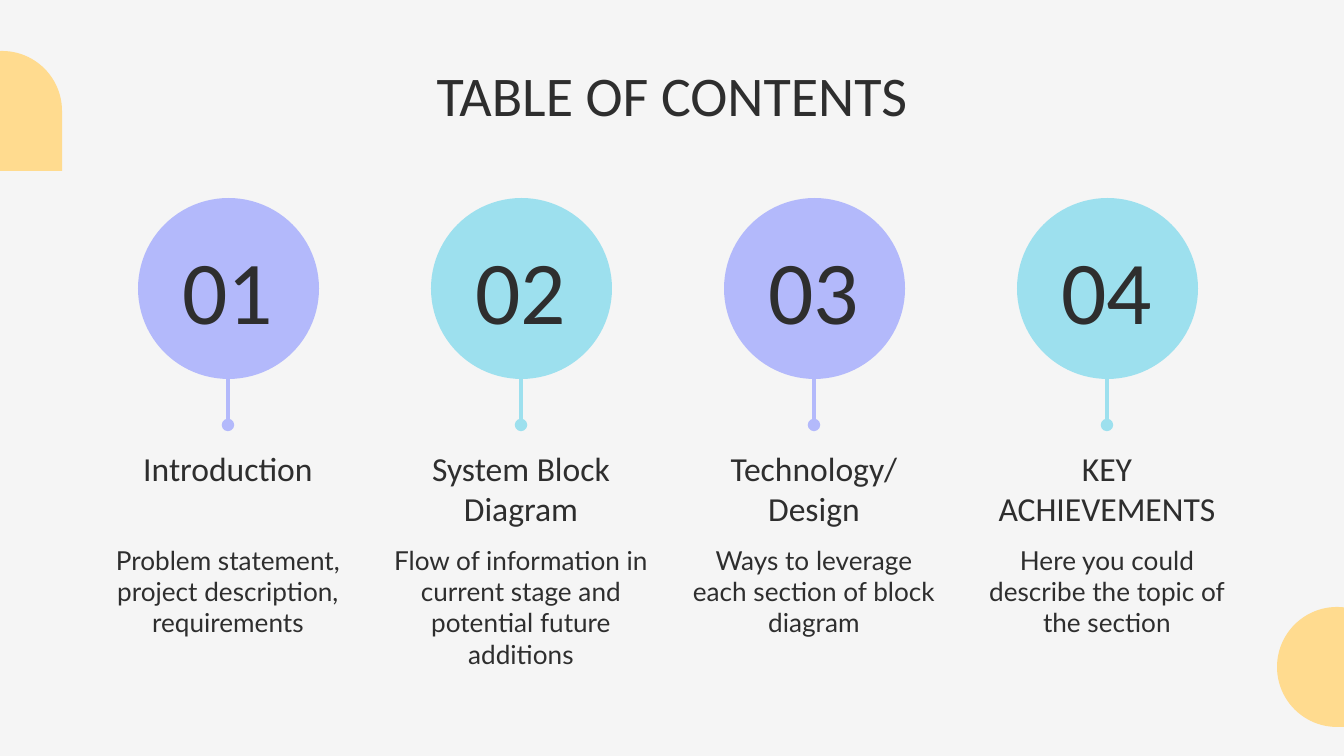
from lxml import etree
from pptx import Presentation
from pptx.dml.color import RGBColor
from pptx.enum.shapes import MSO_CONNECTOR, MSO_SHAPE
from pptx.enum.text import MSO_ANCHOR, PP_ALIGN
from pptx.oxml.ns import qn
from pptx.util import Pt

SCALE = 914400 / 134.4
PAPER = RGBColor(0xF5, 0xF5, 0xF5)
INK = RGBColor(0x2E, 0x2E, 0x2E)
SAND = RGBColor(0xFF, 0xDB, 0x8F)
LILAC = RGBColor(0xB3, 0xB9, 0xFB)
AQUA = RGBColor(0x9D, 0xE0, 0xEE)

DROP = MSO_SHAPE.TEAR
DISC = MSO_SHAPE.OVAL
LINE = MSO_CONNECTOR.STRAIGHT
TOP = MSO_ANCHOR.TOP
MID = MSO_ANCHOR.MIDDLE
CENTER = PP_ALIGN.CENTER

HEAD = {"size": Pt(30), "name": "Calibri"}
NUMBER = {"size": Pt(48), "name": "Calibri"}
TOPIC = {"size": Pt(18), "name": "Calibri"}
DETAIL = {"size": Pt(14), "name": "Lato"}

FIRST, STEP = 228, 293
SECTIONS = [
    ("Introduction", 226, LILAC,
     "Problem statement, project description, requirements"),
    ("System Block Diagram", 239, AQUA,
     "Flow of information in current stage and potential future additions"),
    ("Technology/Design", 239, LILAC,
     "Ways to leverage each section of block diagram"),
    ("KEY ACHIEVEMENTS", 300, AQUA,
     "Here you could describe the topic of the section"),
]


def px(*values):
    return [round(value * SCALE) for value in values]


def add_form(slide, kind, box, color, turn=0):
    form = slide.shapes.add_shape(kind, *px(*box))
    form.shadow.inherit = False
    form.fill.solid()
    form.fill.fore_color.rgb = color
    form.line.fill.background()
    form.rotation = turn


def add_stem(slide, mid, color):
    stem = slide.shapes.add_connector(LINE, *px(mid, 331, mid, 425))
    stem.line.color.rgb = color
    stem.line.width = Pt(2.25)
    etree.SubElement(stem.line._get_or_add_ln(), qn("a:tailEnd"), type="oval")
    etree.SubElement(stem._element.spPr, qn("a:effectLst"))


def add_text(slide, text, mid, top, width, height, style, anchor=TOP):
    box = slide.shapes.add_textbox(*px(mid - width / 2, top, width, height))
    frame = box.text_frame
    inset = px(13)[0]
    layout = {"word_wrap": True, "vertical_anchor": anchor,
              "margin_left": inset, "margin_right": inset,
              "margin_top": inset, "margin_bottom": inset}
    for key, value in layout.items():
        setattr(frame, key, value)
    line = frame.paragraphs[0]
    line.alignment = CENTER
    run = line.add_run()
    run.text = text
    for key, value in style.items():
        setattr(run.font, key, value)
    run.font.color.rgb = INK


def add_section(slide, index, topic, width, color, detail):
    mid = FIRST + index * STEP
    add_stem(slide, mid, color)
    add_form(slide, DISC, (mid - 90, 198, 181, 181), color)
    add_text(slide, f"{index + 1:02}", mid, 246, 258, 85, NUMBER, MID)
    add_text(slide, topic, mid, 435, width, 85, TOPIC)
    add_text(slide, detail, mid, 531, 280, 126, DETAIL)


def main():
    deck = Presentation()
    deck.slide_width, deck.slide_height = px(1344, 756)
    slide = deck.slides.add_slide(deck.slide_layouts[6])
    slide.background.fill.solid()
    slide.background.fill.fore_color.rgb = PAPER
    for left, top in ((1277, 607), (-58, 51)):
        add_form(slide, DROP, (left, top, 120, 120), SAND, 90)
    add_text(slide, "TABLE OF CONTENTS", 672, 48, 942, 93, HEAD)
    for index, section in enumerate(SECTIONS):
        add_section(slide, index, *section)
    deck.save("out.pptx")


if __name__ == "__main__":
    main()
